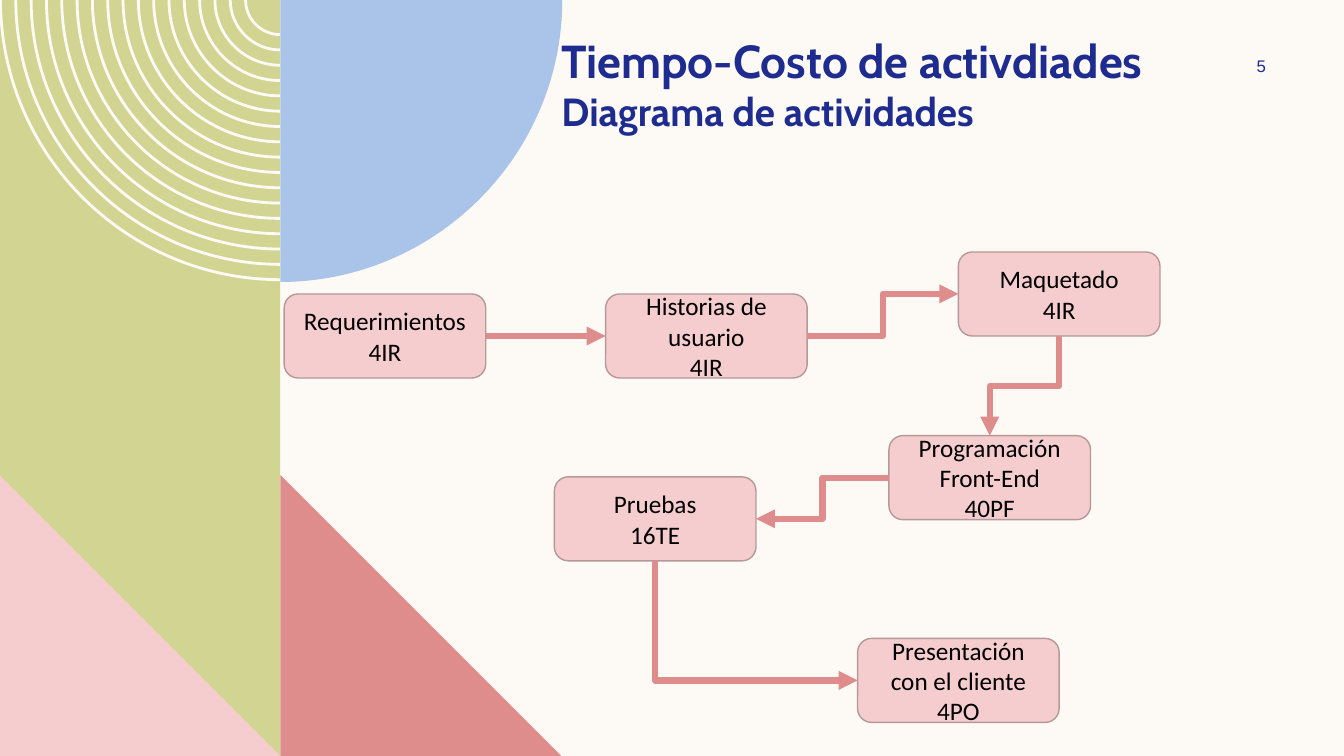
from dataclasses import dataclass

from lxml import etree
from pptx import Presentation
from pptx.dml.color import RGBColor
from pptx.enum.shapes import MSO_CONNECTOR, MSO_SHAPE
from pptx.enum.text import MSO_ANCHOR, PP_ALIGN
from pptx.oxml.ns import qn
from pptx.util import Pt

ELBOW = MSO_CONNECTOR.ELBOW
RECTANGLE = MSO_SHAPE.RECTANGLE
ROUNDED = MSO_SHAPE.ROUNDED_RECTANGLE
TRIANGLE = MSO_SHAPE.RIGHT_TRIANGLE
MIDDLE, TOP_ANCHOR = MSO_ANCHOR.MIDDLE, MSO_ANCHOR.TOP
CENTER, LEFT_ALIGN = PP_ALIGN.CENTER, PP_ALIGN.LEFT
TOP, LEFT, BOTTOM, RIGHT = range(4)


@dataclass(frozen=True)
class Theme:
    cream: str = "FDFAF6"
    green: str = "D2D592"
    blue: str = "AAC3E8"
    rose: str = "DE8C8C"
    pink: str = "F5CDCE"
    outline: str = "B59898"
    navy: str = "1F2C8F"
    black: str = "000000"
    title_font: str = "Cabin"
    number_font: str = "Arial"
    body_font: str = "Calibri"
    title_size: int = 33
    subtitle_size: int = 28
    body_size: int = 18
    number_size: int = 12
    outline_width: int = 1
    arrow_width: float = 4.5


THEME = Theme()

# Name: (left, top, lines of text), within the diagram
ACTIVITIES = {
    "requirements": (0, 30, ("Requerimientos", "4IR")),
    "stories": (229.6, 30, ("Historias de usuario", "4IR")),
    "mockup": (481.6, 0, ("Maquetado", "4IR")),
    "coding": (432, 131.2, ("Programación Front-End", "40PF")),
    "tests": (193, 160.6, ("Pruebas", "16TE")),
    "delivery": (409.6, 276, ("Presentación con el cliente", "4PO")),
}
FLOWS = [
    ("requirements", RIGHT, "stories", LEFT),
    ("stories", RIGHT, "mockup", LEFT),
    ("mockup", BOTTOM, "coding", TOP),
    ("coding", LEFT, "tests", RIGHT),
    ("tests", BOTTOM, "delivery", LEFT),
]


def set_values(target, values):
    for name, value in values.items():
        setattr(target, name, value)


def paint(shape, color, outline=None):
    shape.shadow.inherit = False
    shape.fill.solid()
    shape.fill.fore_color.rgb = RGBColor.from_string(color)
    if outline:
        shape.line.color.rgb = RGBColor.from_string(outline)
        shape.line.width = Pt(THEME.outline_width)
    else:
        shape.line.fill.background()


def add_run(paragraph, text, font, size, color, bold=False):
    run = paragraph.add_run()
    run.text = text
    set_values(run.font, {"name": font, "size": Pt(size), "bold": bold})
    run.font.color.rgb = RGBColor.from_string(color)


def add_block(slide, kind, box, color):
    shape = slide.shapes.add_shape(kind, *map(Pt, box))
    paint(shape, color)


def quarter_arc(center, radius, side):
    """Bezier points from the side (-1 left, 1 right) down to the bottom."""
    handle = 0.55 * radius
    offsets = [(radius, 0), (radius, handle), (handle, radius), (0, radius)]
    return [(Pt(center[0] + side * x), Pt(center[1] + y)) for x, y in offsets]


def add_curved_outline(slide, contours, color):
    """Each four points of a contour are the start, handles and end of a curve."""
    builder = slide.shapes.build_freeform(*contours[0][0])
    for index, contour in enumerate(contours):
        if index:
            builder.move_to(*contour[0])
        builder.add_line_segments(contour[1:], close=True)
    shape = builder.convert_to_shape()
    for outline in shape._element.iter(qn("a:path")):
        position = 0
        for command in list(outline):
            if command.tag == qn("a:moveTo"):
                position = 0
            elif command.tag == qn("a:lnTo"):
                position += 1
                if position % 4 == 1:
                    curve = command
                    curve.tag = qn("a:cubicBezTo")
                elif position % 4 in (2, 3):
                    curve.append(command[0])
                    outline.remove(command)
    paint(shape, color)


def add_decoration(slide, left, top, width, height):
    """Two columns: green panel with rings, blue quarter disc and triangles."""
    add_block(slide, RECTANGLE, (left, top, width, height), THEME.green)

    # Seventeen concentric quarter rings
    center = (left + width, top)
    ring_count, ring_step, ring_width = 17, 10.94, 2
    radii = [width - ring_step * index for index in range(ring_count)]
    rings = [quarter_arc(center, radius, -1)
             + quarter_arc(center, radius - ring_width, -1)[::-1] for radius in radii]
    add_curved_outline(slide, rings, THEME.cream)

    # Quarter disc in the second column
    disc = quarter_arc(center, width + 0.6, 1) + [tuple(map(Pt, center))]
    add_curved_outline(slide, [disc], THEME.blue)

    # Triangles at the foot of both columns
    base = top + height - width
    for column, color in ((1, THEME.rose), (0, THEME.pink)):
        add_block(slide, TRIANGLE, (left + column * width, base, width, width), color)


def add_text_box(slide, box, anchor, alignment, margin):
    frame = slide.shapes.add_textbox(*map(Pt, box)).text_frame
    set_values(frame, {"word_wrap": True, "vertical_anchor": anchor,
                       "margin_left": Pt(margin), "margin_right": Pt(margin),
                       "margin_top": Pt(margin), "margin_bottom": Pt(margin)})
    paragraph = frame.paragraphs[0]
    paragraph.alignment = alignment
    return paragraph


def add_heading(slide, left, top, width, height):
    """Two-line title, with the page number at the right."""
    paragraph = add_text_box(slide, (left, top, width, height), TOP_ANCHOR, LEFT_ALIGN, 0)
    add_run(paragraph, "Tiempo-Costo de activdiades", THEME.title_font,
            THEME.title_size, THEME.navy, True)
    paragraph.add_line_break()
    add_run(paragraph, "Diagrama de actividades", THEME.title_font,
            THEME.subtitle_size, THEME.navy, True)
    number_box = (left + width - 39, top + 13, 78, 21.6)
    paragraph = add_text_box(slide, number_box, MIDDLE, CENTER, 3.6)
    add_run(paragraph, "5", THEME.number_font, THEME.number_size, THEME.navy)


def add_activity(slide, left, top, width, height, lines):
    shape = slide.shapes.add_shape(ROUNDED, *map(Pt, (left, top, width, height)))
    paint(shape, THEME.pink, THEME.outline)
    frame = shape.text_frame
    set_values(frame, {"word_wrap": True, "vertical_anchor": MIDDLE})
    for index, line in enumerate(lines):
        paragraph = frame.add_paragraph() if index else frame.paragraphs[0]
        paragraph.alignment = CENTER
        add_run(paragraph, line, THEME.body_font, THEME.body_size, THEME.black)
    return shape


def turn_downward(connector, end_side):
    """Turn an elbow so that it leaves its first box vertically."""
    begin_x, begin_y = connector.begin_x, connector.begin_y
    end_x, end_y = connector.end_x, connector.end_y
    across, down = abs(end_x - begin_x), abs(end_y - begin_y)
    set_values(connector, {"left": (begin_x + end_x - down) // 2,
                           "top": (begin_y + end_y - across) // 2,
                           "width": down, "height": across})
    properties = connector._element.spPr
    transform = properties.find(qn("a:xfrm"))
    rightward = end_x > begin_x
    transform.set("rot", "16200000" if rightward else "5400000")
    transform.set("flipH", "1" if rightward else "0")
    if end_side != TOP:
        properties.find(qn("a:prstGeom")).set("prst", "bentConnector2")


def add_flow(slide, first, first_side, second, second_side):
    connector = slide.shapes.add_connector(ELBOW, 0, 0, 0, 0)
    connector.begin_connect(first, first_side)
    connector.end_connect(second, second_side)
    if first_side == BOTTOM:
        turn_downward(connector, second_side)
    connector.line.color.rgb = RGBColor.from_string(THEME.rose)
    connector.line.width = Pt(THEME.arrow_width)
    etree.SubElement(connector.get_or_add_ln(), qn("a:tailEnd"), type="triangle")
    etree.SubElement(connector._element.spPr, qn("a:effectLst"))


def add_diagram(slide, left, top, width, height):
    """Activity boxes of one size, joined by elbow arrows."""
    shapes = {name: add_activity(slide, left + x, top + y, width, height, lines)
              for name, (x, y, lines) in ACTIVITIES.items()}
    for first, first_side, second, second_side in FLOWS:
        add_flow(slide, shapes[first], first_side, shapes[second], second_side)


def main():
    presentation = Presentation()
    set_values(presentation, {"slide_width": Pt(960), "slide_height": Pt(540)})
    slide = presentation.slides.add_slide(presentation.slide_layouts[6])
    slide.background.fill.solid()
    slide.background.fill.fore_color.rgb = RGBColor.from_string(THEME.cream)
    add_decoration(slide, -0.6, 0, 200.8, 540)
    add_heading(slide, 401, 23, 500, 60)
    add_diagram(slide, 203, 180, 144, 60)
    presentation.save("out.pptx")


if __name__ == "__main__":
    main()
